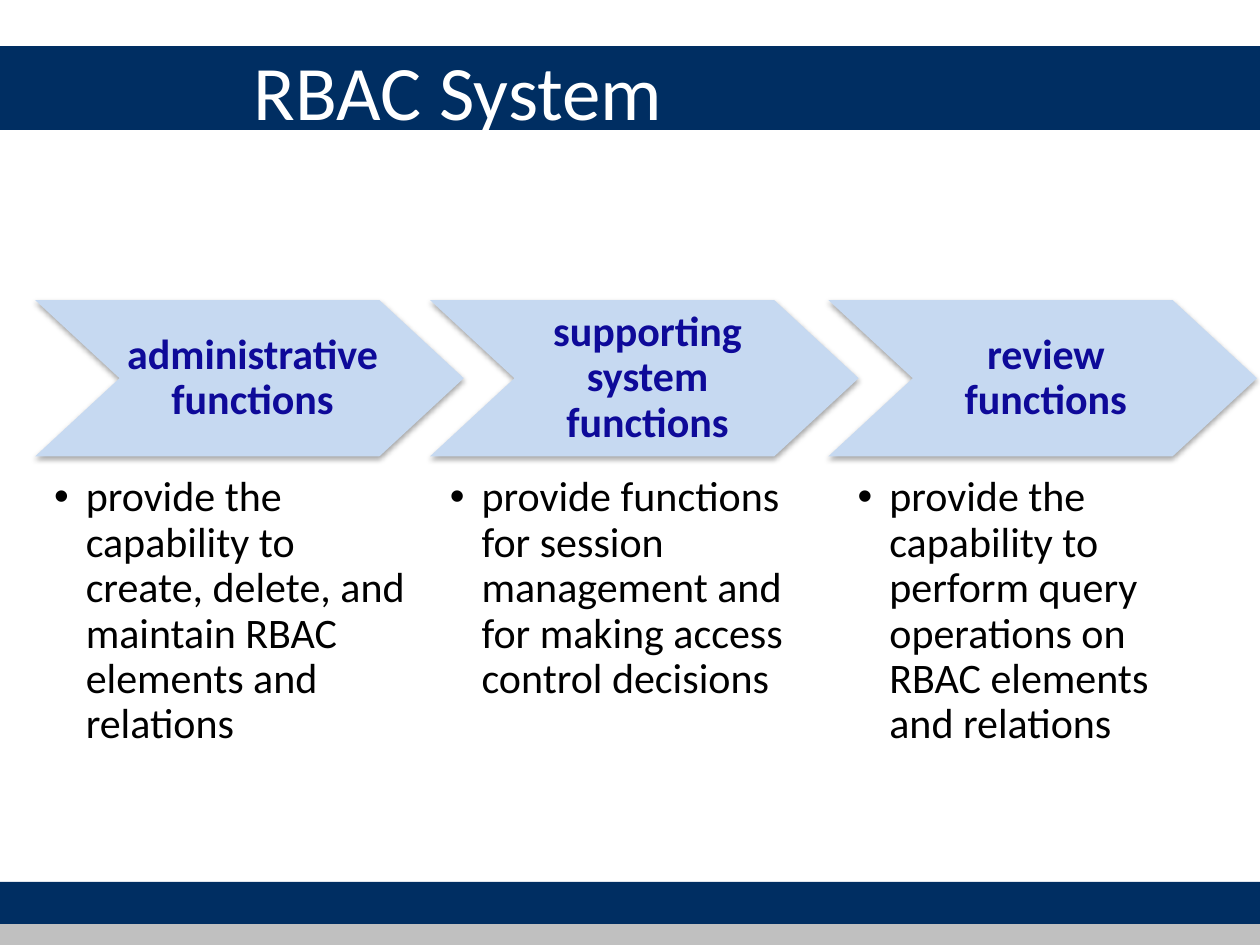
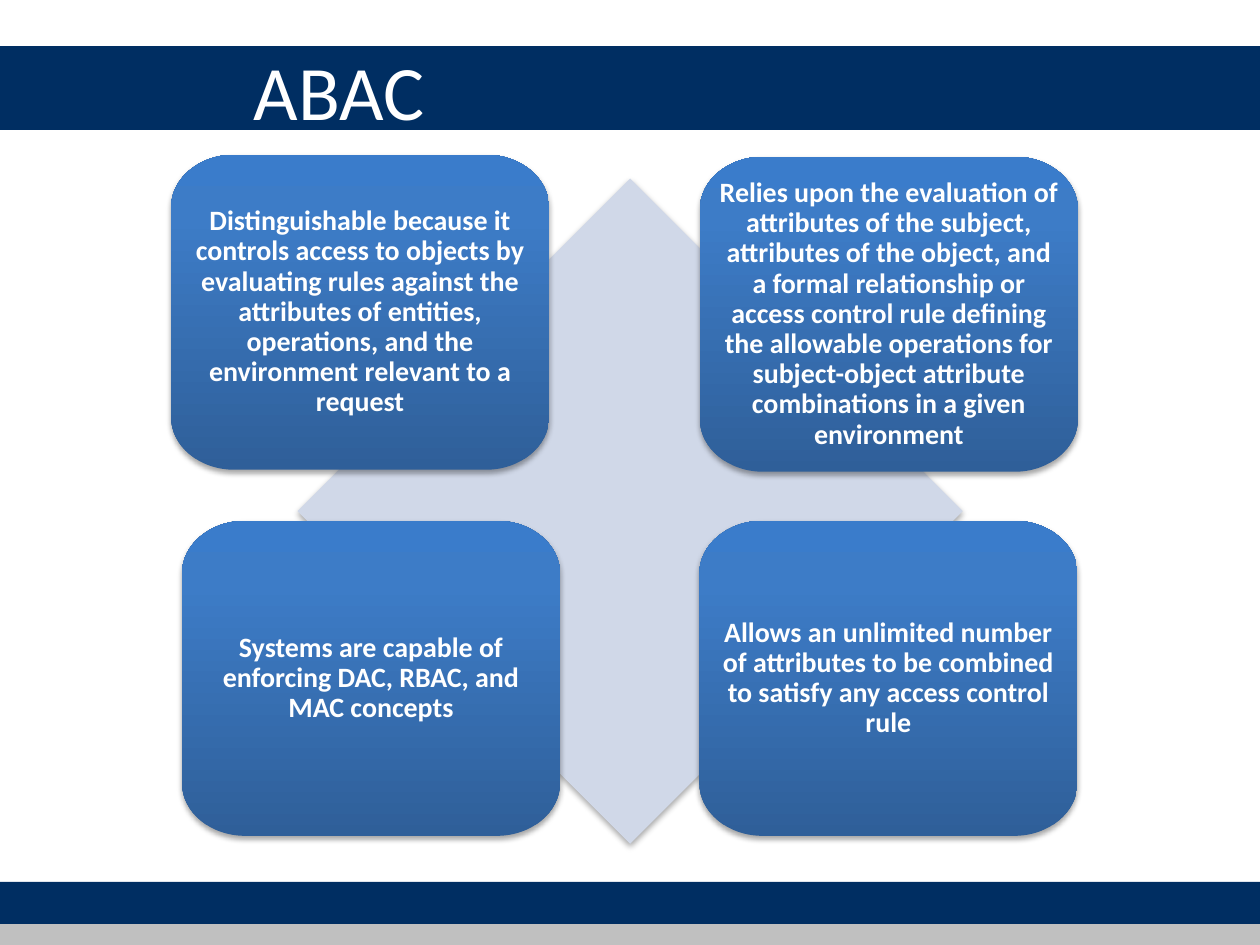
from copy import deepcopy
from dataclasses import dataclass

from lxml.etree import SubElement
from pptx import Presentation
from pptx.dml.color import RGBColor
from pptx.enum.shapes import MSO_SHAPE
from pptx.enum.text import MSO_ANCHOR, MSO_AUTO_SIZE, PP_ALIGN
from pptx.oxml.ns import qn
from pptx.util import Cm, Pt


@dataclass(frozen=True)
class Theme:
    face: str = "Calibri"
    navy: str = "002E62"
    grey: str = "C0C0C0"
    white: str = "FFFFFF"
    black: str = "000000"
    ink: str = "0E0A99"
    arrow: str = "C6D9F1"
    pale: str = "D0D8E8"
    blend: tuple = ((0, "2F5F99"), (0.8, "3D7CC7"), (1, "3A7CCB"))
    head: int = 44
    text: int = 24
    small: int = 16


THEME = Theme()

BANDS = (
    ((0, 17.78, 25.4, 0.85), THEME.navy),
    ((0, 0.93, 25.4, 1.69), THEME.navy),
    ((0, 18.63, 25.4, 0.42), THEME.grey),
)
TITLE = (4.87, 0.21, 20.12, 3.18)

STEPS = (
    (0.71, 1.09, "administrative functions",
     "provide the capability to create, delete, and maintain RBAC elements and relations"),
    (8.67, 9.07, "supporting system functions",
     "provide functions for session management and for making access control decisions"),
    (16.7, 17.29, "review functions",
     "provide the capability to perform query operations on RBAC elements and relations"),
)

CARDS = (
    (3.45, 3.12, "Distinguishable because it controls access to objects by evaluating rules "
     "against the attributes of entities, operations, and the environment relevant to a request"),
    (14.11, 3.16, "Relies upon the evaluation of attributes of the subject, attributes of the "
     "object, and a formal relationship or access control rule defining the allowable operations "
     "for subject-object attribute combinations in a given environment"),
    (3.67, 10.5, "Systems are capable of enforcing DAC, RBAC, and MAC concepts"),
    (14.1, 10.5, "Allows an unlimited number of attributes to be combined to satisfy any "
     "access control rule"),
)


def apply(item, values):
    for name, value in values.items():
        setattr(item, name, value)


def place(shape, box):
    apply(shape, dict(zip(("left", "top", "width", "height"), map(Cm, box))))


def write(shape, text, size, color, bold=False, align=PP_ALIGN.LEFT,
          anchor=MSO_ANCHOR.MIDDLE, pads=(0, 0, 0, 0), lines=0.9, bullet=False):
    frame = shape.text_frame
    frame.text = text
    sides = ("margin_left", "margin_top", "margin_right", "margin_bottom")
    apply(frame, dict(zip(sides, map(Cm, pads))))
    apply(frame, {"word_wrap": True, "auto_size": MSO_AUTO_SIZE.NONE,
                  "vertical_anchor": anchor})
    para = frame.paragraphs[0]
    apply(para, {"alignment": align, "line_spacing": lines, "space_before": Pt(0)})
    if bullet:
        para.level = 1
        props = para._p.get_or_add_pPr()
        props.set("marL", str(Cm(0.64)))
        props.set("indent", str(-Cm(0.64)))
        SubElement(props, qn("a:buFont")).set("typeface", "Arial")
        SubElement(props, qn("a:buChar")).set("char", "•")
    apply(para.runs[0].font, {"name": THEME.face, "size": Pt(size), "bold": bold})
    para.runs[0].font.color.rgb = RGBColor.from_string(color)


def paint(shape, color=None):
    shape.shadow.inherit = False
    shape.line.fill.background()
    if color:
        shape.fill.solid()
        shape.fill.fore_color.rgb = RGBColor.from_string(color)
    else:
        shape.fill.background()


def shade(shape):
    effect = shape._element.spPr.find(qn("a:effectLst"))
    outer = SubElement(effect, qn("a:outerShdw"), blurRad=str(Pt(3.1)), dist=str(Pt(1.8)),
                       dir="5400000", rotWithShape="0")
    tone = SubElement(outer, qn("a:srgbClr"), val=THEME.black)
    SubElement(tone, qn("a:alpha"), val="35000")


def blend(shape):
    shape.fill.gradient()
    shape.fill.gradient_angle = 90
    stops = shape._element.spPr.find(".//" + qn("a:gsLst"))
    stops.append(deepcopy(stops[0]))
    for stop, (spot, color) in zip(shape.fill.gradient_stops, THEME.blend):
        stop.position = spot
        stop.color.rgb = RGBColor.from_string(color)


def preset(slide, kind, box, color=None):
    shape = slide.shapes.add_shape(kind, *map(Cm, box))
    paint(shape, color)
    return shape


def add_bands(deck, slide):
    tree = deck.slide_master.shapes._spTree
    for spot, (box, color) in enumerate(BANDS, 2):
        band = preset(slide, MSO_SHAPE.RECTANGLE, box, color)
        tree.insert(spot, band._element)


def add_title(slide, text):
    place(slide.shapes.title, TITLE)
    write(slide.shapes.title, text, THEME.head, THEME.white,
          pads=(0.25, 0.13, 0.25, 0.13), lines=1.0)


def add_arrow(slide, box, text):
    arrow = preset(slide, MSO_SHAPE.CHEVRON, box, THEME.arrow)
    arrow.adjustments[0] = 0.54
    shade(arrow)
    write(arrow, text, THEME.text, THEME.ink, True, PP_ALIGN.CENTER,
          pads=(0.13, 0.08, 0, 0.08))


def add_list(slide, box, text):
    block = preset(slide, MSO_SHAPE.RECTANGLE, box)
    write(block, text, THEME.text, THEME.black, anchor=MSO_ANCHOR.TOP, bullet=True)


def bend(line, start, corner, end):
    line.tag = qn("a:cubicBezTo")
    line.remove(line[0])
    pulls = [[p + (c - p) * 0.55 for p, c in zip(dot, corner)] for dot in (start, end)]
    for x, y in (*pulls, end):
        SubElement(line, qn("a:pt"), x=str(round(x)), y=str(round(y)))


def outline(slide, box, wide, tall):
    left, top, width, height = map(Cm, box)
    near, far = Cm(wide), width - Cm(wide)
    high, low = Cm(tall), height - Cm(tall)
    dots = ((0, high), (near, 0), (far, 0), (width, high),
            (width, low), (far, height), (near, height), (0, low))
    corners = ((0, 0), (width, 0), (width, height), (0, height))
    pen = slide.shapes.build_freeform(*dots[0])
    pen.add_line_segments(dots[1:], close=True)
    shape = pen.convert_to_shape(left, top)
    lines = list(shape._element.spPr.iter(qn("a:lnTo")))
    for line, start, corner, end in zip(lines[::2], dots[::2], corners, dots[1::2]):
        bend(line, start, corner, end)
    return shape


def add_card(slide, box, text):
    card = outline(slide, box, 1.27, 1.06)
    paint(card)
    blend(card)
    shade(card)
    write(card, text, THEME.small, THEME.white, True, PP_ALIGN.CENTER, pads=(0.38,) * 4)


def fill_steps(slide):
    add_title(slide, "RBAC System")
    for left, inner, name, text in STEPS:
        add_arrow(slide, (left, 6.05, 8.64, 3.15), name)
        add_list(slide, (inner, 9.59, 7.11, 6.35), text)


def fill_cards(slide):
    add_title(slide, "ABAC")
    shade(preset(slide, MSO_SHAPE.DIAMOND, (6, 3.6, 13.41, 13.41), THEME.pale))
    for left, top, text in CARDS:
        add_card(slide, (left, top, 7.62, 6.35), text)


def main():
    deck = Presentation()
    apply(deck, {"slide_width": Cm(25.4), "slide_height": Cm(19.05)})
    layout = deck.slide_layouts.get_by_name("Title Only")
    for fill in (fill_steps, fill_cards):
        fill(deck.slides.add_slide(layout))
    add_bands(deck, deck.slides[0])
    deck.save("out.pptx")


if __name__ == "__main__":
    main()
